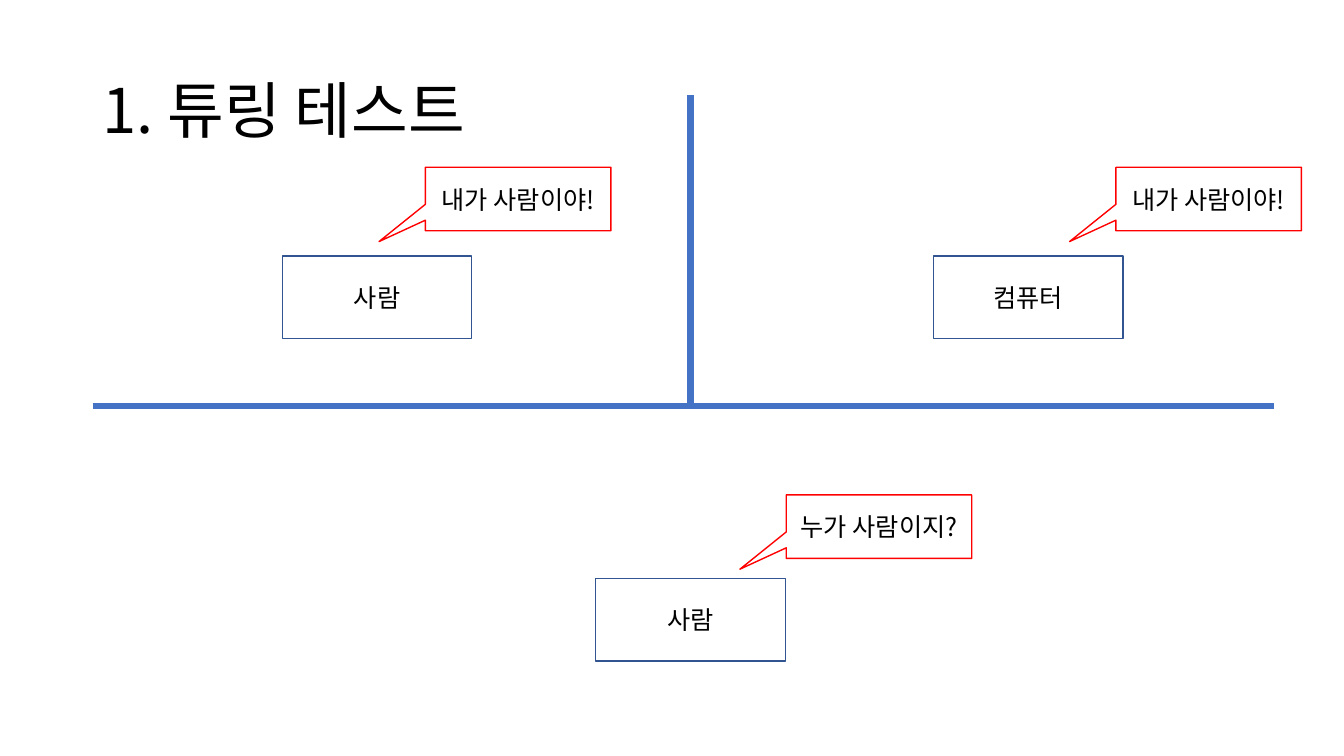
from dataclasses import dataclass

from lxml import etree
from pptx import Presentation, util as u
from pptx.dml.color import RGBColor
from pptx.enum import shapes, text
from pptx.oxml import ns

FONT = "Noto Sans CJK KR"
COLORS = {"text": "000000", "wall": "4472C4", "box": "325491", "speech": "FF0000"}
SLIDE_W, SLIDE_H = u.Inches(13.333), u.Inches(7.5)

# Shares of the slide, in percent of its width or height
BOX_W, BOX_H = 14.1, 10.93
SPEECH_W, SPEECH_H = 13.8, 8.4
WALL_X, WALL_TOP, FLOOR_Y = 51.38, 12.53, 53.73
FLOOR_LEFT, FLOOR_RIGHT = 6.9, 94.8
TOP_BOX_Y, TOP_SPEECH_Y = 33.87, 22.13


@dataclass(frozen=True)
class Player:
    name: str
    x: float
    y: float
    speech: str
    speech_x: float
    speech_y: float


@dataclass(frozen=True)
class Wall:
    x1: float
    y1: float
    x2: float
    y2: float


PLAYERS = [
    Player("사람", 21, TOP_BOX_Y, "내가 사람이야!", 31.65, TOP_SPEECH_Y),
    Player("컴퓨터", 69.45, TOP_BOX_Y, "내가 사람이야!", 83.03, TOP_SPEECH_Y),
    Player("사람", WALL_X - BOX_W / 2, 76.53, "누가 사람이지?", 58.5, 65.47),
]
WALLS = [
    Wall(FLOOR_LEFT, FLOOR_Y, FLOOR_RIGHT, FLOOR_Y),
    Wall(WALL_X, FLOOR_Y, WALL_X, WALL_TOP),
]


def px(share: float) -> int:
    return round(SLIDE_W * share / 100)


def py(share: float) -> int:
    return round(SLIDE_H * share / 100)


def color(name: str) -> RGBColor:
    return RGBColor.from_string(COLORS[name])


def write(s, words: str, size: float, align) -> None:
    tf = s.text_frame
    tf.word_wrap = True
    tf.vertical_anchor = text.MSO_ANCHOR.MIDDLE
    tf.text = words
    p = tf.paragraphs[0]
    p.alignment = align
    r = p.runs[0]
    r.font.size = u.Pt(size)
    r.font.name = FONT
    r.font.color.rgb = color("text")
    etree.SubElement(r.font._element, ns.qn("a:ea"), typeface=FONT)


def add_title(sp, words: str) -> None:
    s = sp.add_textbox(px(FLOOR_LEFT), py(5.33), px(86.25), py(19.33))
    write(s, words, 44, text.PP_ALIGN.LEFT)
    s.text_frame.paragraphs[0].line_spacing = 0.9


def add_wall(sp, wall: Wall) -> None:
    s = sp.add_connector(shapes.MSO_CONNECTOR.STRAIGHT,
                         px(wall.x1), py(wall.y1), px(wall.x2), py(wall.y2))
    s.line.color.rgb = color("wall")
    s.line.width = u.Pt(4.5)
    etree.SubElement(s._element.spPr, ns.qn("a:effectLst"))


def add_outline(sp, kind, x: float, y: float, w: float, h: float,
                line: str, words: str):
    s = sp.add_shape(kind, px(x), py(y), px(w), py(h))
    s.shadow.inherit = False
    s.fill.background()
    s.line.color.rgb = color(line)
    s.line.width = u.Pt(1)
    write(s, words, 18, text.PP_ALIGN.CENTER)
    return s


def add_box(sp, player: Player) -> None:
    add_outline(sp, shapes.MSO_SHAPE.RECTANGLE, player.x, player.y,
                BOX_W, BOX_H, "box", player.name)


def add_speech(sp, player: Player) -> None:
    s = add_outline(sp, shapes.MSO_SHAPE.RECTANGULAR_CALLOUT,
                    player.speech_x, player.speech_y,
                    SPEECH_W, SPEECH_H, "speech", player.speech)
    s.adjustments[0], s.adjustments[1] = -0.75, 0.67


def main() -> None:
    prs = Presentation()
    prs.slide_width, prs.slide_height = SLIDE_W, SLIDE_H
    sp = prs.slides.add_slide(prs.slide_layouts[6]).shapes

    # Title and the walls between the rooms
    add_title(sp, "1. 튜링 테스트")
    for wall in WALLS:
        add_wall(sp, wall)

    # Players, then what they say
    for player in PLAYERS:
        add_box(sp, player)
    for player in PLAYERS:
        add_speech(sp, player)

    prs.save("out.pptx")


if __name__ == "__main__":
    main()
